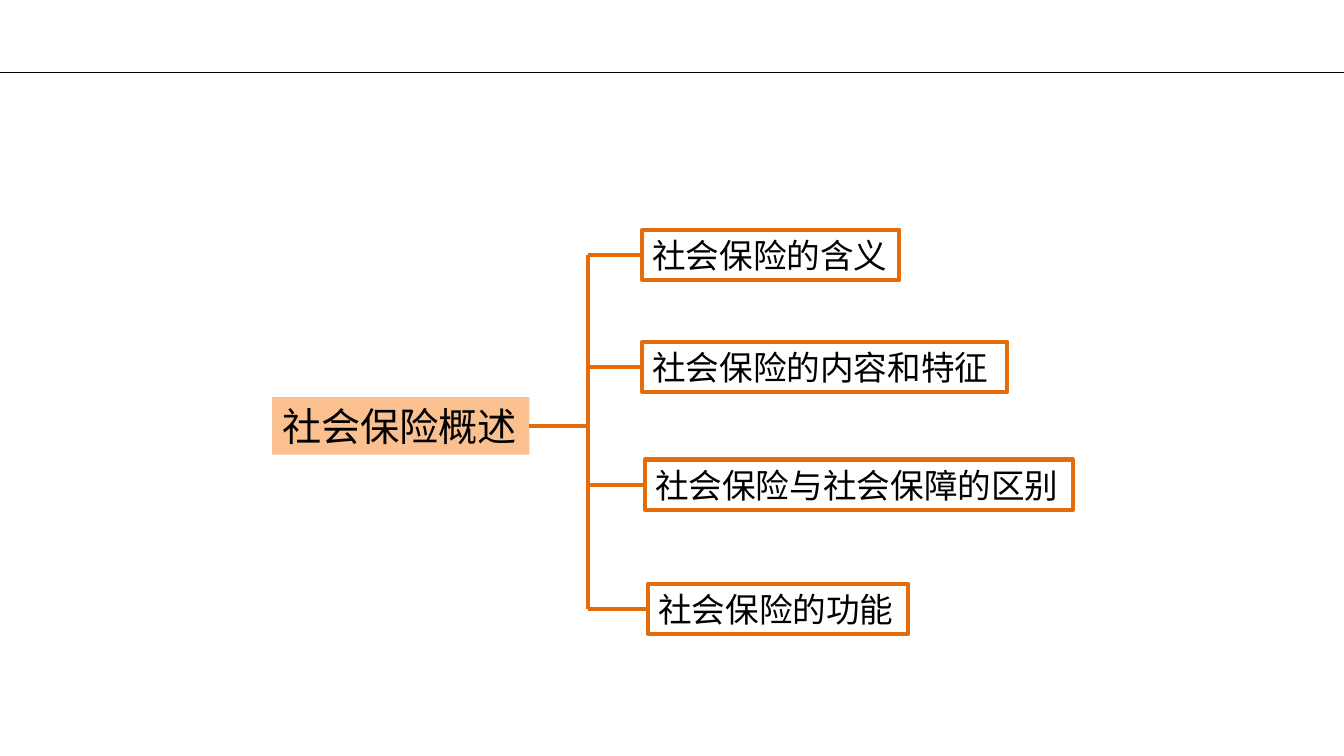
from lxml.etree import SubElement
from pptx import Presentation
from pptx.dml.color import RGBColor
from pptx.enum.shapes import MSO_CONNECTOR
from pptx.enum.text import MSO_ANCHOR, MSO_AUTO_SIZE
from pptx.oxml.ns import qn
from pptx.util import Inches, Pt

BLACK = RGBColor(0x00, 0x00, 0x00)
ORANGE = RGBColor(0xE4, 0x6C, 0x0A)
PEACH = RGBColor(0xFA, 0xC0, 0x90)

SLIDE_W, SLIDE_H = 13.33, 7.5
LEFT_SIDE, RIGHT_SIDE = 1, 3

# Text, then left, top and width relative to the diagram box
ROOT = ("社会保险概述", 0, 1.66, 2.55)
ROOT_H, TOPIC_H = 0.57, 0.5
TRUNK_X = 3.13
TOPICS = [
    ("社会保险的含义", 3.67, 0, 2.55),
    ("社会保险的内容和特征", 3.67, 1.11, 3.62),
    ("社会保险与社会保障的区别", 3.7, 2.28, 4.24),
    ("社会保险的功能", 3.73, 3.51, 2.58),
]


def add_line(slide, x1, y1, x2, y2, color, width):
    line = slide.shapes.add_connector(
        MSO_CONNECTOR.STRAIGHT, Inches(x1), Inches(y1), Inches(x2), Inches(y2))
    line.line.color.rgb = color
    line.line.width = Pt(width)
    SubElement(line._element.spPr, qn("a:effectLst"))
    return line


def add_label(slide, text, x, y, w, h, size):
    sp = slide.shapes.add_textbox(Inches(x), Inches(y), Inches(w), Inches(h))
    tf = sp.text_frame
    frame = {"word_wrap": True, "auto_size": MSO_AUTO_SIZE.SHAPE_TO_FIT_TEXT,
             "vertical_anchor": MSO_ANCHOR.TOP}
    for name, value in frame.items():
        setattr(tf, name, value)
    r = tf.paragraphs[0].add_run()
    r.text = text
    for name, value in {"name": "Calibri", "size": Pt(size)}.items():
        setattr(r.font, name, value)
    r.font.color.rgb = BLACK
    return sp


def add_header_rule(slide, x, y, w):
    add_line(slide, x, y, x + w, y, BLACK, 1)


def add_topic_tree(slide, x, y):
    """Place the root label, the trunk and one branch per topic."""
    trunk_x = x + TRUNK_X

    text, dx, dy, w = ROOT
    root = add_label(slide, text, x + dx, y + dy, w, ROOT_H, 28)
    root.fill.solid()
    root.fill.fore_color.rgb = PEACH
    root_y = y + dy + ROOT_H / 2
    stem = add_line(slide, x + dx + w, root_y, trunk_x, root_y, ORANGE, 3)
    stem.begin_connect(root, RIGHT_SIDE)

    middles = []
    for text, dx, dy, w in TOPICS:
        topic = add_label(slide, text, x + dx, y + dy, w, TOPIC_H, 24)
        topic.line.color.rgb = ORANGE
        topic.line.width = Pt(3)
        middle = y + dy + TOPIC_H / 2
        branch = add_line(slide, trunk_x, middle, x + dx, middle, ORANGE, 3)
        branch.end_connect(topic, LEFT_SIDE)
        middles.append(middle)

    add_line(slide, trunk_x, middles[0], trunk_x, middles[-1], ORANGE, 3)


def main():
    prs = Presentation()
    prs.slide_width, prs.slide_height = Inches(SLIDE_W), Inches(SLIDE_H)
    slide = prs.slides.add_slide(prs.slide_layouts[6])
    add_header_rule(slide, 0, 0.72, SLIDE_W)
    add_topic_tree(slide, 2.7, 2.28)
    prs.save("out.pptx")


if __name__ == "__main__":
    main()
